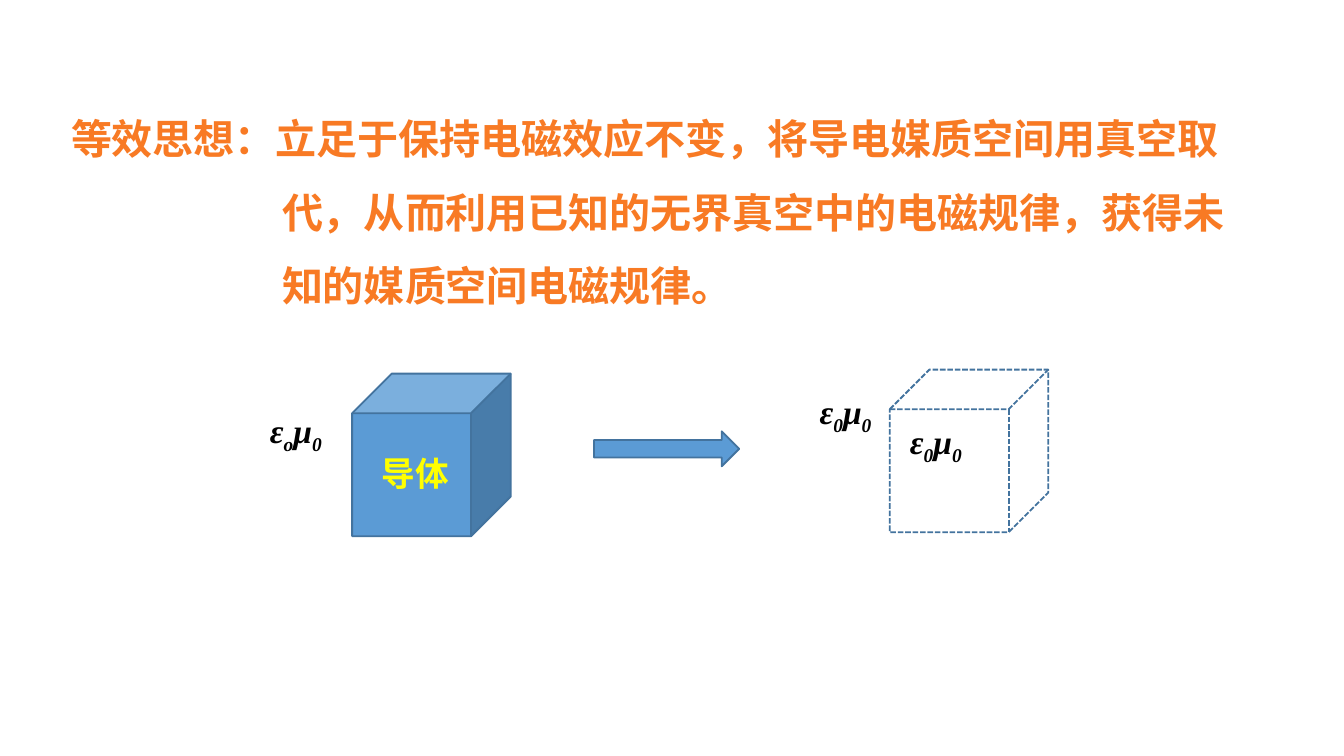
from lxml import etree
from pptx import Presentation
from pptx.dml.color import RGBColor
from pptx.enum.dml import MSO_LINE
from pptx.enum.shapes import MSO_SHAPE
from pptx.enum.text import MSO_ANCHOR, PP_ALIGN
from pptx.oxml.ns import qn
from pptx.util import Inches, Pt

CUBE, ARROW, RECTANGLE = MSO_SHAPE.CUBE, MSO_SHAPE.RIGHT_ARROW, MSO_SHAPE.RECTANGLE
DASH = MSO_LINE.SQUARE_DOT
TOP = MSO_ANCHOR.TOP
LEFT, JUSTIFY = PP_ALIGN.LEFT, PP_ALIGN.JUSTIFY

COLORS = {"orange": "F87A24", "white": "FFFFFF", "black": "000000",
          "blue": "5B9BD5", "edge": "43739E", "yellow": "FFFF00"}
WIDTH = 10
HEIGHT = WIDTH * 9 / 16
IDEA = ("等效思想：立足于保持电磁效应不变，将导电媒质空间用真空取代，"
        "从而利用已知的无界真空中的电磁规律，获得未知的媒质空间电磁规律。")
IDEA_PLACE = (0.43, 0.61, 8.98, 1.77)
HANGING = 1.57

VACUUM = [("ε", False), ("0", True), ("μ", False), ("0", True)]
SURROUNDING = [("ε", False), ("o", True), ("μ", False), ("0", True)]
BACKED_LABELS = [((6, 2.86, 0.8, 0.7), VACUUM), ((1.91, 3, 0.87, 0.54), SURROUNDING)]
INNER_LABEL = ((6.77, 3.13, 0.59, 0.52), VACUUM, "black", True)
SOLIDS = [
    (CUBE, (2.62, 2.78, 1.18, 1.21), "blue", None),
    (ARROW, (4.42, 3.21, 1.08, 0.26), "blue", None),
    (CUBE, (6.62, 2.75, 1.18, 1.21), None, DASH),
]
CONDUCTOR_LABEL = ((2.84, 3.37, 0.51, 0.26), [("导体", False)], "yellow", False)


def rgb(name):
    return RGBColor.from_string(COLORS[name])


def inches(place):
    return [Inches(value) for value in place]


def style(paragraph, size, font, color, italic, alignment):
    paragraph.alignment = alignment
    paragraph.font.size = Pt(size)
    paragraph.font.name = font
    paragraph.font.bold = True
    paragraph.font.italic = italic
    paragraph.font.color.rgb = rgb(color)


def write_label(box, symbols, color, italic):
    frame = box.text_frame
    frame.word_wrap = True
    frame.vertical_anchor = TOP
    paragraph = frame.paragraphs[0]
    style(paragraph, 18, "Times New Roman", color, italic, JUSTIFY)
    for text, lowered in symbols:
        span = paragraph.add_run()
        span.text = text
        if lowered:
            span.font._element.set("baseline", "-25000")


def add_idea(slide):
    box = slide.shapes.add_textbox(*inches(IDEA_PLACE))
    box.text_frame.word_wrap = True
    paragraph = box.text_frame.paragraphs[0]
    paragraph.text = IDEA
    paragraph.line_spacing = 1.5
    properties = paragraph._p.get_or_add_pPr()
    indent = Inches(HANGING)
    properties.set("marL", str(indent))
    properties.set("indent", str(-indent))
    tabs = etree.SubElement(properties, qn("a:tabLst"))
    etree.SubElement(tabs, qn("a:tab"), pos=str(indent), algn="l")
    style(paragraph, 22, "Arial", "orange", False, LEFT)


def add_solid(slide, kind, place, fill, dash):
    shape = slide.shapes.add_shape(kind, *inches(place))
    shape.shadow.inherit = False
    if fill:
        shape.fill.solid()
        shape.fill.fore_color.rgb = rgb(fill)
    else:
        shape.fill.background()
    shape.line.color.rgb = rgb("edge")
    shape.line.width = Pt(1)
    if dash:
        shape.line.dash_style = dash


def add_backed_label(slide, place, symbols):
    box = slide.shapes.add_shape(RECTANGLE, *inches(place))
    box.shadow.inherit = False
    box.fill.solid()
    box.fill.fore_color.rgb = rgb("white")
    box.line.fill.background()
    write_label(box, symbols, "black", True)


def add_plain_label(slide, place, symbols, color, italic):
    box = slide.shapes.add_textbox(*inches(place))
    frame = box.text_frame
    frame.margin_left = frame.margin_right = frame.margin_top = frame.margin_bottom = 0
    write_label(box, symbols, color, italic)


def main():
    deck = Presentation()
    deck.slide_width, deck.slide_height = Inches(WIDTH), Inches(HEIGHT)
    slide = deck.slides.add_slide(deck.slide_layouts[6])
    add_idea(slide)
    for label in BACKED_LABELS:
        add_backed_label(slide, *label)
    add_plain_label(slide, *INNER_LABEL)
    for solid in SOLIDS:
        add_solid(slide, *solid)
    add_plain_label(slide, *CONDUCTOR_LABEL)
    deck.save("out.pptx")


if __name__ == "__main__":
    main()
